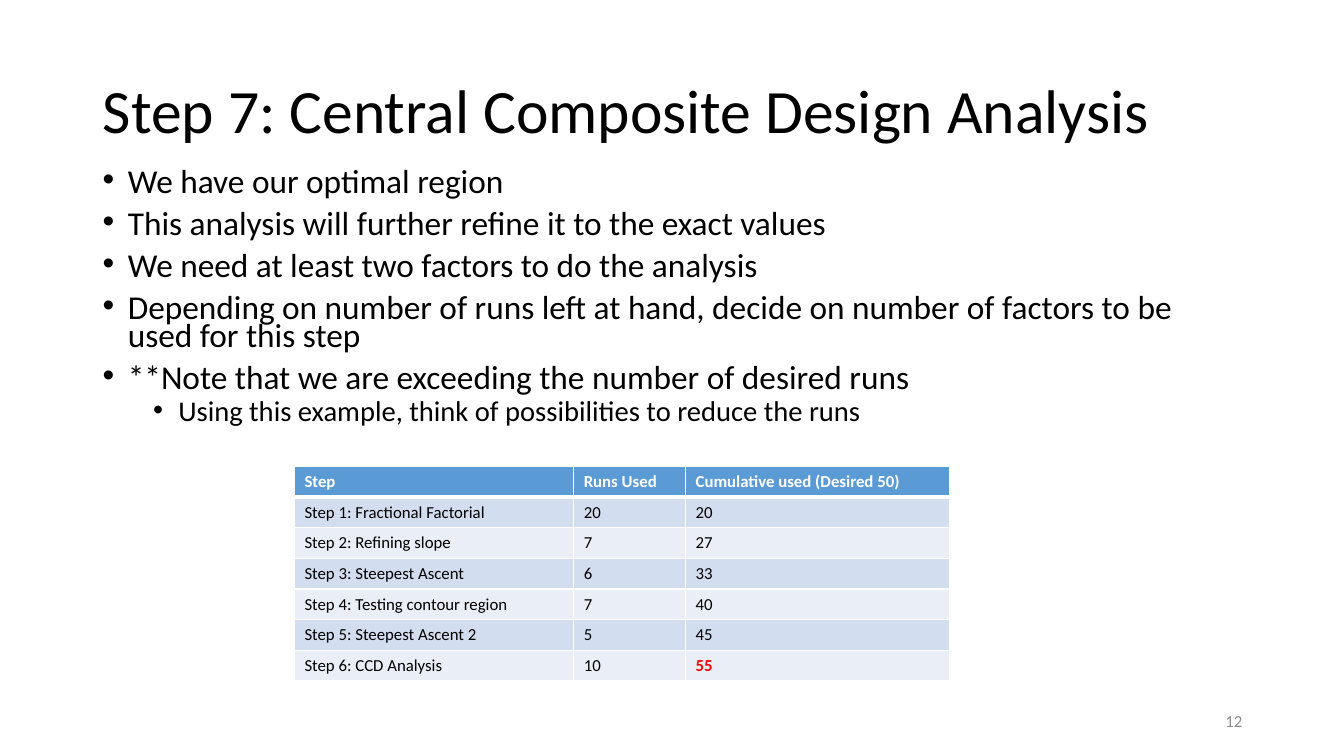
from dataclasses import dataclass

from lxml.etree import SubElement
from pptx import Presentation
from pptx.dml.color import RGBColor
from pptx.enum.text import MSO_ANCHOR, MSO_AUTO_SIZE, PP_ALIGN
from pptx.oxml import parse_xml
from pptx.oxml.ns import nsdecls, qn
from pptx.util import Inches, Pt

FONT = "Calibri"
COLORS = {
    "text": "000000", "white": "FFFFFF", "header": "5B9BD5", "band_dark": "D2DEEF",
    "band_light": "EAEFF7", "alert": "FF0000", "number": "8C8C8C",
}


@dataclass
class Bullet:
    text: str
    level: int = 0


BULLETS = [
    Bullet("We have our optimal region"),
    Bullet("This analysis will further refine it to the exact values"),
    Bullet("We need at least two factors to do the analysis"),
    Bullet("Depending on number of runs left at hand, decide on number of factors "
           "to be used for this step"),
    Bullet("**Note that we are exceeding the number of desired runs"),
    Bullet("Using this example, think of possibilities to reduce the runs", level=1),
]
BULLET_SIZES = [23.8, 20.4]
BULLET_GAPS = [10, 5]

DESIRED_RUNS = 50
HEADINGS = ["Step", "Runs Used", f"Cumulative used (Desired {DESIRED_RUNS})"]
STEPS = [
    ("Step 1: Fractional Factorial", 20, 20),
    ("Step 2: Refining slope", 7, 27),
    ("Step 3: Steepest Ascent", 6, 33),
    ("Step 4: Testing contour region", 7, 40),
    ("Step 5: Steepest Ascent 2", 5, 45),
    ("Step 6: CCD Analysis", 10, 55),
]
COLUMN_WIDTHS = [2.77, 1.11, 2.62]
ROW_HEIGHT = 0.29


def write(p, text: str, *, size: float, color: str = "text", bold: bool = False,
          align=PP_ALIGN.LEFT, spacing: float = 1.0, before: float = 0) -> None:
    """Add one formatted run to a paragraph."""
    p.alignment = align
    p.line_spacing = spacing
    p.space_before = Pt(before)
    r = p.add_run()
    r.text = text
    r.font.name = FONT
    r.font.size = Pt(size)
    r.font.bold = bold
    r.font.color.rgb = RGBColor.from_string(COLORS[color])


def place(sp, left: float, top: float, width: float, height: float, anchor):
    """Position a text shape and return its text frame."""
    sp.left, sp.top = Inches(left), Inches(top)
    sp.width, sp.height = Inches(width), Inches(height)
    tf = sp.text_frame
    tf.word_wrap = True
    tf.auto_size = MSO_AUTO_SIZE.NONE
    tf.vertical_anchor = anchor
    return tf


def add_text_box(slide, left: float, top: float, width: float, height: float, anchor):
    return place(slide.shapes.add_textbox(0, 0, 0, 0), left, top, width, height, anchor)


def set_bullet(p, level: int) -> None:
    p.level = level
    pPr = p._p.get_or_add_pPr()
    pPr.set("marL", str(Inches(0.25 + 0.5 * level)))
    pPr.set("indent", str(Inches(-0.25)))
    SubElement(pPr, qn("a:buFont")).set("typeface", "Arial")
    SubElement(pPr, qn("a:buChar")).set("char", "•")


def set_borders(cell, bottom: float) -> None:
    tcPr = cell._tc.get_or_add_tcPr()
    widths = {"lnL": 1, "lnR": 1, "lnT": 1, "lnB": bottom}
    for i, (side, width) in enumerate(widths.items()):
        tcPr.insert(i, parse_xml(
            f'<a:{side} {nsdecls("a")} w="{Pt(width)}"><a:solidFill>'
            f'<a:srgbClr val="{COLORS["white"]}"/></a:solidFill></a:{side}>'))


def add_runs_table(slide) -> None:
    rows = [HEADINGS, *STEPS]
    table = slide.shapes.add_table(
        len(rows), len(HEADINGS), Inches(2.92), Inches(4.63),
        Inches(sum(COLUMN_WIDTHS)), Inches(ROW_HEIGHT * len(rows))).table
    for column, width in zip(table.columns, COLUMN_WIDTHS):
        column.width = Inches(width)
    for i, values in enumerate(rows):
        table.rows[i].height = Inches(ROW_HEIGHT)
        header = i == 0
        fill = "header" if header else "band_dark" if i % 2 else "band_light"
        for j, value in enumerate(values):
            cell = table.cell(i, j)
            cell.fill.solid()
            cell.fill.fore_color.rgb = RGBColor.from_string(COLORS[fill])
            set_borders(cell, bottom=3 if header else 1)
            over = not header and j == 2 and value > DESIRED_RUNS
            color = "white" if header else "alert" if over else "text"
            write(cell.text_frame.paragraphs[0], str(value), size=12, color=color,
                  bold=header or over)


def main() -> None:
    prs = Presentation()
    prs.slide_width, prs.slide_height = Inches(13.33), Inches(7.5)
    slide = prs.slides.add_slide(prs.slide_layouts[5])

    # Title
    tf = place(slide.shapes.title, 0.92, 0.4, 11.5, 1.45, MSO_ANCHOR.MIDDLE)
    write(tf.paragraphs[0], "Step 7: Central Composite Design Analysis", size=44, spacing=0.9)

    # Bullet list
    tf = add_text_box(slide, 0.92, 1.65, 11.5, 2.78, MSO_ANCHOR.TOP)
    for i, bullet in enumerate(BULLETS):
        p = tf.add_paragraph() if i else tf.paragraphs[0]
        write(p, bullet.text, size=BULLET_SIZES[bullet.level], spacing=0.7,
              before=BULLET_GAPS[bullet.level])
        set_bullet(p, bullet.level)

    # Runs per step
    add_runs_table(slide)

    # Slide number
    tf = add_text_box(slide, 9.42, 6.95, 3, 0.4, MSO_ANCHOR.MIDDLE)
    write(tf.paragraphs[0], "12", size=12, color="number", align=PP_ALIGN.RIGHT)

    prs.save("out.pptx")


if __name__ == "__main__":
    main()
